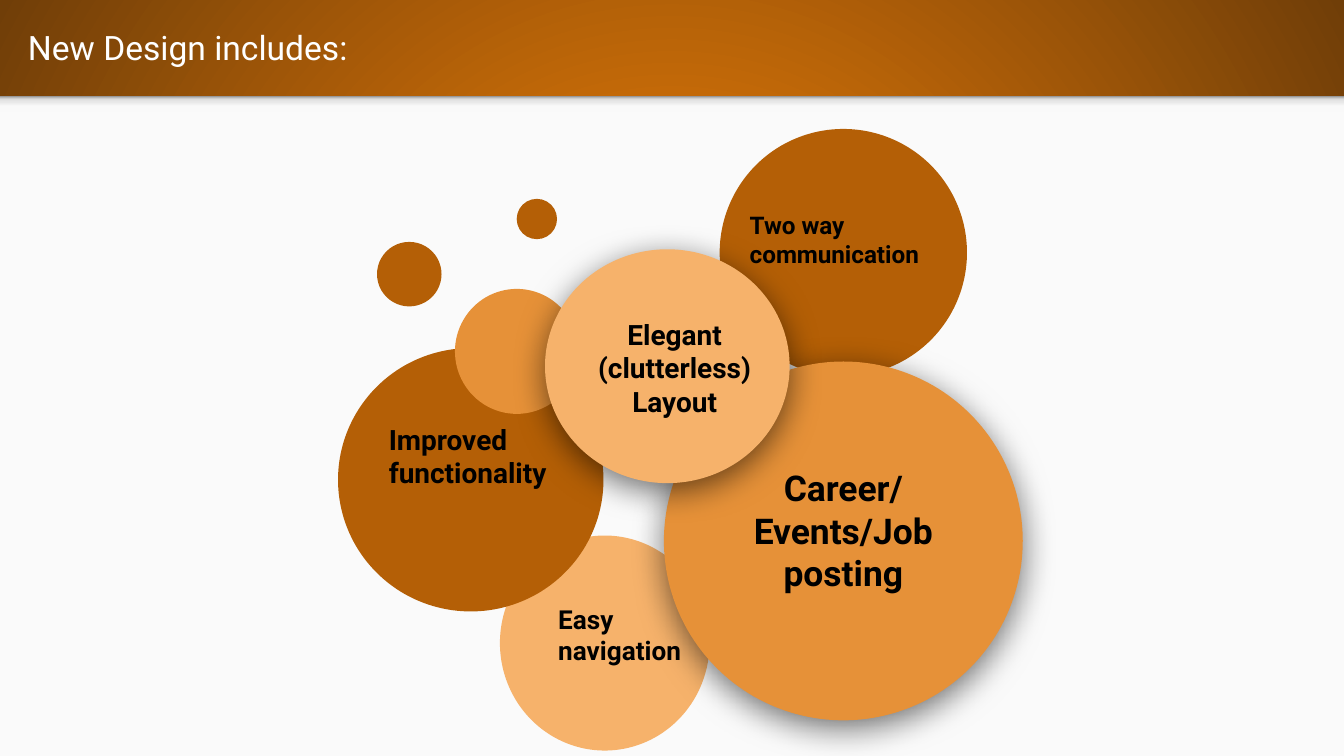
from lxml.etree import SubElement
from pptx import Presentation
from pptx.dml.color import RGBColor
from pptx.enum.shapes import MSO_SHAPE
from pptx.enum.text import MSO_ANCHOR, PP_ALIGN
from pptx.oxml.ns import qn
from pptx.util import Inches, Pt

# Grid of square cells on a 16:9 slide: 100 columns by 56.25 rows
COLUMNS, ROWS = 100, 56.25
CELL = Inches(0.1)
HEADER_ROWS = 7.15

BLACK = RGBColor(0x00, 0x00, 0x00)
WHITE = RGBColor(0xFF, 0xFF, 0xFF)
PAPER = RGBColor(0xFA, 0xFA, 0xFA)
BROWN = RGBColor(0xB4, 0x5F, 0x06)
ORANGE = RGBColor(0xE6, 0x91, 0x38)
PEACH = RGBColor(0xF6, 0xB2, 0x6B)
GLOW = RGBColor(0xF4, 0x82, 0x08)
DARK_BROWN = RGBColor(0x70, 0x3E, 0x08)
PALE_GREY = RGBColor(0xF9, 0xF9, 0xF9)
LIGHT_GREY = RGBColor(0xDE, 0xDE, 0xDE)
MID_GREY = RGBColor(0x99, 0x99, 0x99)


def cells(*lengths):
    return [round(length * CELL) for length in lengths]


def set_gradient(fill, parent, stops, angle=None):
    """Fill with (percent, colour) stops; circular unless an angle is given."""
    fill.gradient()
    gradient = parent.find(qn("a:gradFill"))
    for child in list(gradient):
        gradient.remove(child)
    stop_list = SubElement(gradient, qn("a:gsLst"))
    for percent, color in stops:
        stop = SubElement(stop_list, qn("a:gs"), pos=str(percent * 1000))
        SubElement(stop, qn("a:srgbClr"), val=str(color))
    if angle is None:
        circle = SubElement(gradient, qn("a:path"), path="circle")
        SubElement(circle, qn("a:fillToRect"),
                   {side: "50000" for side in "ltrb"})
    else:
        SubElement(gradient, qn("a:lin"), ang=str(angle * 60000), scaled="0")


def add_soft_shadow(shape):
    effects = shape.element.spPr.find(qn("a:effectLst"))
    shadow = SubElement(effects, qn("a:outerShdw"), blurRad=str(Pt(18)),
                        dist=str(Pt(4)), dir=str(90 * 60000),
                        algn="ctr", rotWithShape="0")
    color = SubElement(shadow, qn("a:srgbClr"), val=str(BLACK))
    SubElement(color, qn("a:alpha"), val="55000")


def add_area(slide, kind, box, color=None):
    area = slide.shapes.add_shape(kind, *cells(*box))
    area.shadow.inherit = False
    area.line.fill.background()
    if color is not None:
        area.fill.solid()
        area.fill.fore_color.rgb = color
    return area


def add_bubble(slide, box, color, raised=False):
    bubble = add_area(slide, MSO_SHAPE.OVAL, box, color)
    if raised:
        add_soft_shadow(bubble)


def add_text(slide, text, box, size, color=BLACK, bold=True,
             align=PP_ALIGN.LEFT, anchor=MSO_ANCHOR.TOP):
    frame = slide.shapes.add_textbox(*cells(*box)).text_frame
    frame.word_wrap = True
    frame.vertical_anchor = anchor
    frame.margin_left = frame.margin_right = CELL
    frame.margin_top = frame.margin_bottom = CELL
    frame.text = text
    for paragraph in frame.paragraphs:
        paragraph.alignment = align
        font = paragraph.runs[0].font
        font.name, font.size, font.bold = "Roboto", Pt(size), bold
        font.color.rgb = color


def add_backdrop(slide):
    # Glowing background, seen in the header band
    background = slide.background.fill
    set_gradient(background, slide.element.cSld.bg.bgPr,
                 [(0, GLOW), (100, DARK_BROWN)])
    # Paper and the shade under the header
    add_area(slide, MSO_SHAPE.RECTANGLE,
             (0, HEADER_ROWS, COLUMNS, ROWS - HEADER_ROWS), PAPER)
    shade = add_area(slide, MSO_SHAPE.RECTANGLE,
                     (0, HEADER_ROWS, COLUMNS, 1.2))
    set_gradient(shade.fill, shade.element.spPr,
                 [(0, PALE_GREY), (36, PALE_GREY),
                  (80, LIGHT_GREY), (100, MID_GREY)], angle=270)


def main():
    deck = Presentation()
    deck.slide_width, deck.slide_height = cells(COLUMNS, ROWS)
    slide = deck.slides.add_slide(deck.slide_layouts[6])

    add_backdrop(slide)
    add_text(slide, "New Design includes:", (1.1, 0.2, 96.5, 6.6), 18,
             color=WHITE, bold=False, anchor=MSO_ANCHOR.MIDDLE)

    # Bubbles, from back to front
    for box, color in [
        ((37.2, 39.85, 15.6, 16), PEACH),
        ((28.05, 18, 4.8, 4.8), BROWN),
        ((25.15, 25.9, 19.75, 19.6), BROWN),
        ((53.55, 9.6, 18.4, 18.4), BROWN),
        ((33.85, 21.5, 9.2, 9.3), ORANGE),
        ((38.45, 14.8, 3, 3), BROWN),
    ]:
        add_bubble(slide, box, color)
    add_bubble(slide, (49.4, 26.9, 26.7, 26.7), ORANGE, raised=True)
    add_bubble(slide, (40.55, 18.55, 18.2, 17.4), PEACH, raised=True)

    # Labels of the raised bubbles
    for text, box, size in [
        ("Career/Events/Job posting", (52.55, 33.1, 20.4, 12.7), 19),
        ("Elegant (clutterless)\nLayout", (43.45, 22.15, 13.5, 10.4), 15),
    ]:
        add_text(slide, text, box, size, align=PP_ALIGN.CENTER,
                 anchor=MSO_ANCHOR.MIDDLE)

    # Labels of the flat bubbles
    for text, box, size in [
        ("Easy navigation", (40.55, 43.9, 11.2, 6.7), 14),
        ("Two way communication", (54.8, 14.65, 15.6, 6.4), 13),
        ("Improved functionality", (27.95, 30.4, 15.6, 7.1), 15),
    ]:
        add_text(slide, text, box, size)

    deck.save("out.pptx")


if __name__ == "__main__":
    main()
